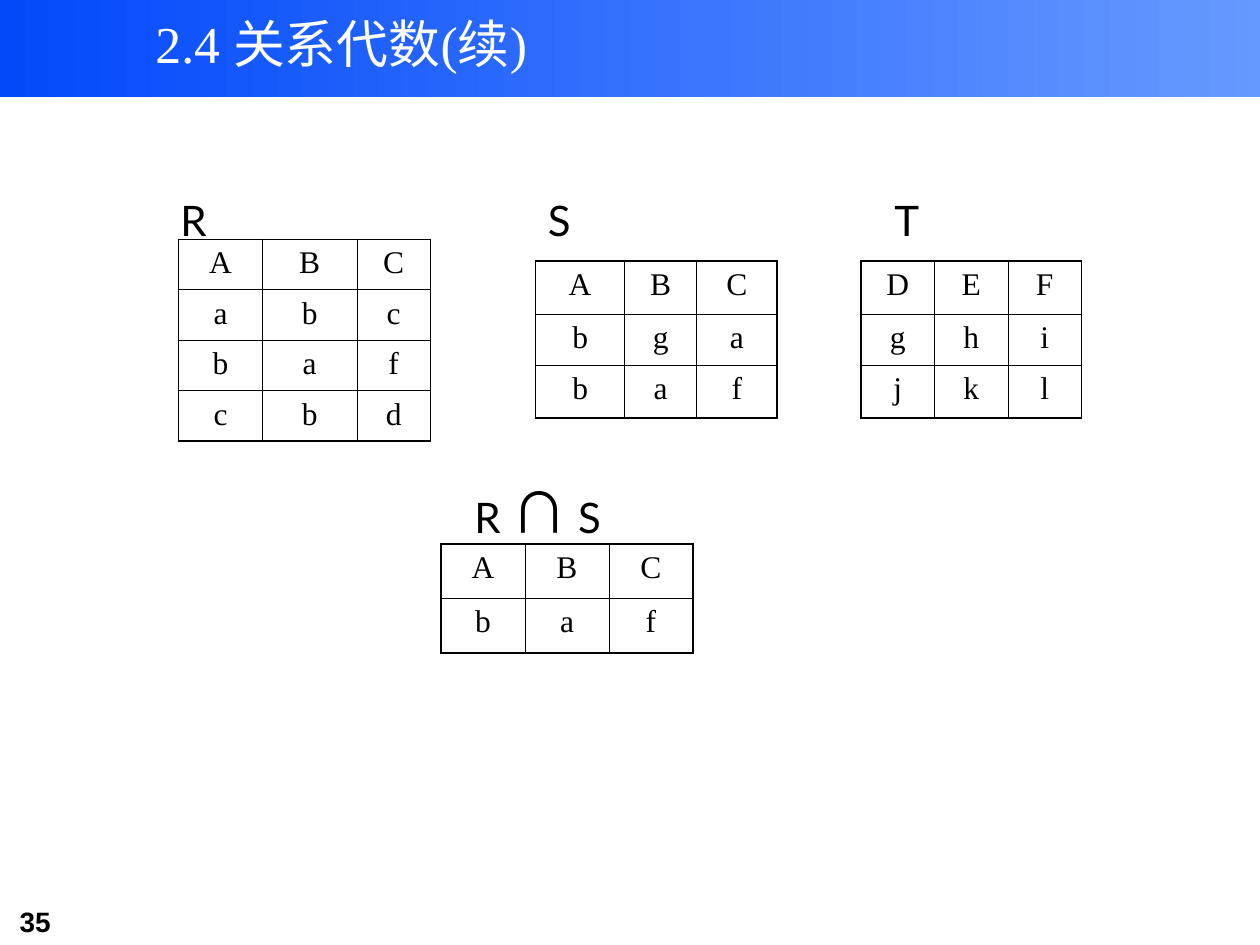
"""Builds the relational algebra slide with relations R, S, T and R ∩ S."""
from pptx import Presentation
from pptx.dml.color import RGBColor
from pptx.enum.shapes import MSO_SHAPE
from pptx.enum.text import MSO_ANCHOR, MSO_AUTO_SIZE, PP_ALIGN
from pptx.oxml import parse_xml
from pptx.oxml.ns import nsdecls
from pptx.util import Inches, Pt

RECT = MSO_SHAPE.RECTANGLE
LEFT, MID = PP_ALIGN.LEFT, PP_ALIGN.CENTER
TOP, CENTER = MSO_ANCHOR.TOP, MSO_ANCHOR.MIDDLE
FIXED = MSO_AUTO_SIZE.NONE
BLACK, WHITE = RGBColor(0, 0, 0), RGBColor(255, 255, 255)
DEEP, PALE = RGBColor(0x02, 0x49, 0xFA), RGBColor(0x66, 0x99, 0xFF)
SERIF, SANS, HAN = "Times New Roman", "Lato", "Noto Sans CJK SC"
THICK, THIN = 1.08, 0.45

WIDE, HIGH = Inches(10), Inches(7.5)
COL, ROW = WIDE / 120, HIGH / 90

TITLE = "2.4 关系代数(续)"
PAGE = "35"
LABELS = [
    ([("R", SANS, 24)], (16, 17.9, 12, 6)),
    ([("S", SANS, 24)], (51, 17.9, 12, 6)),
    ([("T", SANS, 24)], (84, 17.9, 10, 6)),
    ([("R ", SANS, 24), ("∩", HAN, 32), (" S", SANS, 24)], (44, 44.9, 20, 7.7)),
]
TABLES = [
    {"at": (17, 22.8), "cols": (8, 9, 7), "rows": (4.8, 4.8, 4.8, 4.8),
     "data": ["ABC", "abc", "baf", "cbd"]},
    {"at": (51, 24.85), "cols": (8.5, 6.85, 7.65), "rows": (5.1, 4.85, 5.05),
     "data": ["ABC", "bga", "baf"]},
    {"at": (82, 24.85), "cols": (7, 7, 7), "rows": (5.1, 4.85, 5.05),
     "data": ["DEF", "ghi", "jkl"]},
    {"at": (42, 51.8), "cols": (8, 8, 8), "rows": (5.2, 5.2),
     "data": ["ABC", "baf"]},
]


def place(left, top, wide, high):
    return int(left * COL), int(top * ROW), int(wide * COL), int(high * ROW)


def write(frame, runs, color=BLACK, bold=False, align=LEFT):
    para = frame.paragraphs[0]
    para.alignment = align
    for text, face, size in runs:
        run = para.add_run()
        run.text = text
        font = run.font
        font.name, font.size, font.bold = face, Pt(size), bold
        font.color.rgb = color
        font._element.append(
            parse_xml(f'<a:ea {nsdecls("a")} typeface="{HAN}"/>'))


def add_text(slide, runs, box, **style):
    frame = slide.shapes.add_textbox(*place(*box)).text_frame
    frame.word_wrap = True
    write(frame, runs, **style)


def edge(cell, sides):
    props = cell._tc.get_or_add_tcPr()
    for spot, (side, outer) in enumerate(sides):
        width = Pt(THICK if outer else THIN)
        props.insert(spot, parse_xml(
            f'<a:ln{side} {nsdecls("a")} w="{width}"><a:solidFill>'
            f'<a:srgbClr val="{BLACK}"/></a:solidFill></a:ln{side}>'))


def add_grid(slide, at, cols, rows, data):
    box = place(*at, sum(cols), sum(rows))
    table = slide.shapes.add_table(len(rows), len(cols), *box).table
    table.first_row = table.horz_banding = False
    for col, wide in zip(table.columns, cols):
        col.width = int(wide * COL)
    for r, (high, line) in enumerate(zip(rows, data)):
        table.rows[r].height = int(high * ROW)
        for c, text in enumerate(line):
            cell = table.cell(r, c)
            cell.fill.background()
            cell.vertical_anchor = TOP
            edge(cell, [("L", c == 0), ("R", c == len(cols) - 1),
                        ("T", r == 0), ("B", r == len(rows) - 1)])
            write(cell.text_frame, [(text, SERIF, 18)], align=MID)


def add_head(slide):
    bar = slide.shapes.add_shape(RECT, *place(0, 0, 120, 9.25))
    bar.shadow.inherit = False
    bar.line.fill.background()
    bar.fill.gradient()
    bar.fill.gradient_angle = 0
    for stop, color in zip(bar.fill.gradient_stops, (DEEP, PALE)):
        stop.color.rgb = color
    title = slide.shapes.title
    bar._element.addnext(title._element)
    title.left, title.top, title.width, title.height = place(11, 0.1, 43, 8)
    frame = title.text_frame
    frame.auto_size, frame.word_wrap = FIXED, False
    frame.vertical_anchor = CENTER
    write(frame, [(TITLE, SERIF, 29.6)], color=WHITE, align=MID)


def main():
    deck = Presentation()
    deck.slide_width, deck.slide_height = WIDE, HIGH
    slide = deck.slides.add_slide(deck.slide_layouts[5])
    add_head(slide)
    add_text(slide, [(PAGE, "Arial", 16)], (0.7, 85.6, 14.6, 4.4), bold=True)
    for grid in TABLES:
        add_grid(slide, **grid)
    for runs, box in LABELS:
        add_text(slide, runs, box)
    deck.save("out.pptx")


if __name__ == "__main__":
    main()
